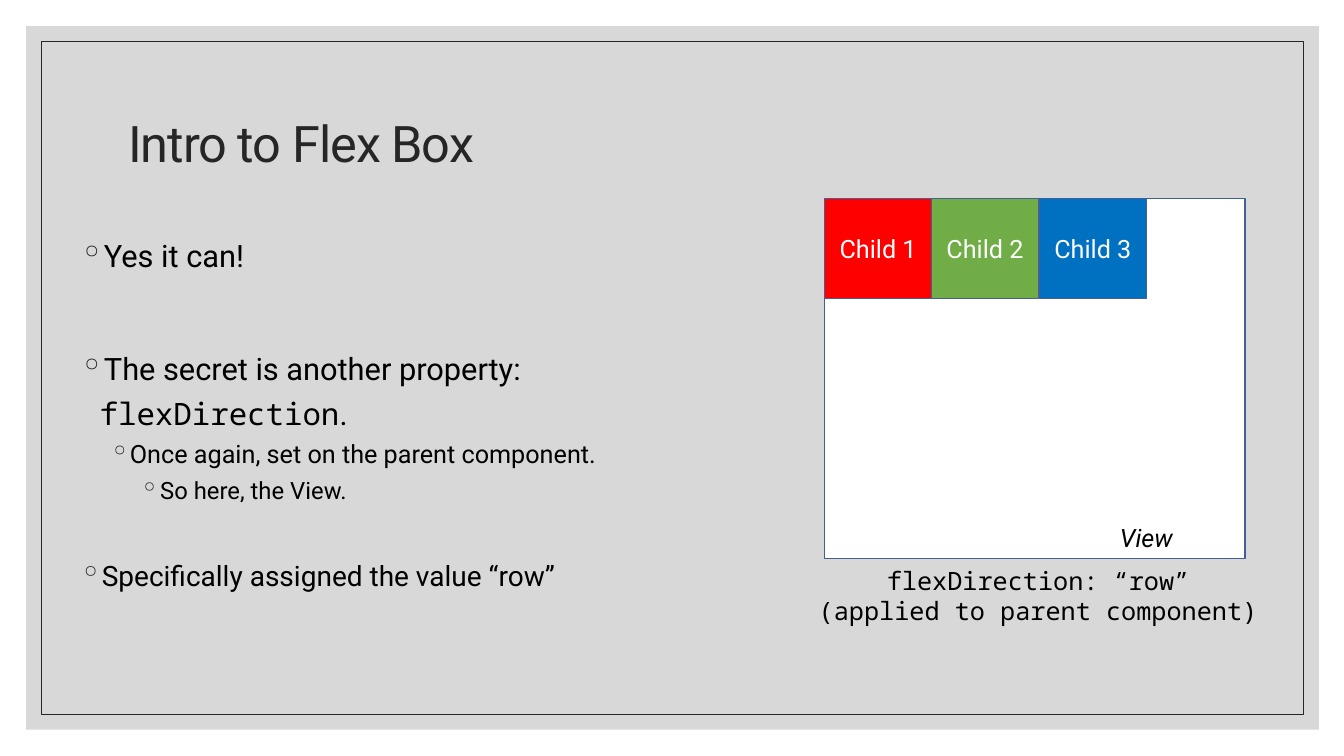
"""Build the flex box slide with a row layout diagram."""
from lxml import etree
from pptx import Presentation
from pptx.dml.color import RGBColor
from pptx.enum.shapes import MSO_SHAPE
from pptx.enum.text import MSO_ANCHOR, MSO_AUTO_SIZE, PP_ALIGN
from pptx.oxml.ns import qn
from pptx.util import Pt

EMU_PER_PX = 9144
RECTANGLE = MSO_SHAPE.RECTANGLE
LEFT, CENTER = PP_ALIGN.LEFT, PP_ALIGN.CENTER
MIDDLE, TOP = MSO_ANCHOR.MIDDLE, MSO_ANCHOR.TOP
NO_AUTOFIT = MSO_AUTO_SIZE.NONE
SANS, MONO = "Roboto", "Noto Sans Mono"

BLACK = RGBColor(0x00, 0x00, 0x00)
WHITE = RGBColor(0xFF, 0xFF, 0xFF)
CHARCOAL = RGBColor(0x26, 0x26, 0x26)
GRAY = RGBColor(0xBF, 0xBF, 0xBF)
OUTLINE = RGBColor(0x43, 0x60, 0x96)
RED = RGBColor(0xFF, 0x00, 0x00)
GREEN = RGBColor(0x70, 0xAD, 0x47)
BLUE = RGBColor(0x00, 0x70, 0xC0)

BULLET_INDENT = 20
LEVEL_MARGINS = (20, 50, 80)
POINTS = (
    (0, 22, 0, (("Yes it can!", SANS),)),
    (0, 22, 49, (("The secret is another property: ", SANS),
                 ("flexDirection", MONO), (".", SANS))),
    (1, 18, 5, (("Once again, set on the parent component.", SANS),)),
    (2, 17, 5, (("So here, the View.", SANS),)),
    (0, 20, 34, (("Specifically assigned the value “row”", SANS),)),
)
VIEW_BOX = (818, 197, 417, 357)
CHILDREN = (("Child 1", RED), ("Child 2", GREEN), ("Child 3", BLUE))


def px(*lengths):
    """Turn pixel lengths into EMU."""
    return [length * EMU_PER_PX for length in lengths]


def write(paragraph, text, size=18, font=SANS, color=BLACK, italic=False,
          align=LEFT, tracking=None):
    """Append a formatted run to a paragraph."""
    paragraph.alignment = align
    run = paragraph.add_run()
    run.text = text
    run.font.name = font
    run.font.size = Pt(size)
    run.font.color.rgb = color
    run.font.italic = italic
    if tracking is not None:
        run.font._element.set("spc", str(tracking))


def add_box(shapes, box, fill=None, line=None, weight=1, opacity=100):
    """Add a flat rectangle."""
    rectangle = shapes.add_shape(RECTANGLE, *px(*box))
    rectangle.shadow.inherit = False
    if fill is None:
        rectangle.fill.background()
    else:
        rectangle.fill.solid()
        rectangle.fill.fore_color.rgb = fill
    if opacity < 100:
        solid = rectangle.element.spPr.find(qn("a:solidFill"))
        etree.SubElement(solid[0], qn("a:alpha"), val=str(opacity * 1000))
    if line is None:
        rectangle.line.fill.background()
    else:
        rectangle.line.color.rgb = line
        rectangle.line.width = Pt(weight)
    return rectangle


def add_text_frame(shapes, box, wrap=True):
    """Add a text box and return its frame."""
    frame = shapes.add_textbox(*px(*box)).text_frame
    frame.word_wrap = wrap
    frame.vertical_anchor = TOP
    return frame


def next_paragraph(frame, index):
    """Return the first paragraph or a new one."""
    return frame.add_paragraph() if index else frame.paragraphs[0]


def add_bullet(paragraph, level):
    """Give a paragraph a ring bullet and a hanging indent."""
    properties = paragraph._p.get_or_add_pPr()
    margin, indent = px(LEVEL_MARGINS[level], -BULLET_INDENT)
    properties.set("marL", str(margin))
    properties.set("indent", str(indent))
    bullet_color = etree.SubElement(properties, qn("a:buClr"))
    etree.SubElement(bullet_color, qn("a:srgbClr"), val=str(CHARCOAL))
    etree.SubElement(properties, qn("a:buChar"), char="◦")
    paragraph.level = level


def add_title(slide):
    """Place the title above the backdrop and format it."""
    title = slide.shapes.title
    title.element.getparent().append(title.element)
    title.left, title.top, title.width, title.height = px(117, 70, 1100, 150)
    frame = title.text_frame
    frame.auto_size = NO_AUTOFIT
    frame.vertical_anchor = MIDDLE
    heading = frame.paragraphs[0]
    heading.line_spacing = 0.9
    write(heading, "Intro to Flex Box", size=36, color=CHARCOAL, tracking=-70)


def add_points(slide):
    """Add the bulleted explanation."""
    frame = add_text_frame(slide.shapes, (69, 223, 649, 494))
    for index, (level, size, space, pieces) in enumerate(POINTS):
        point = next_paragraph(frame, index)
        add_bullet(point, level)
        point.line_spacing = 1.0 if level else 1.2
        if space:
            point.space_before = Pt(space)
        for text, font in pieces:
            write(point, text, size=size, font=font)


def add_diagram(slide):
    """Add the view with its row of children and the caption."""
    diagram = slide.shapes.add_group_shape().shapes
    add_box(diagram, VIEW_BOX, WHITE, OUTLINE)
    left, top = VIEW_BOX[:2]
    for index, (label, color) in enumerate(CHILDREN):
        child_box = (left + index * 213 // 2, top, 106, 99)
        frame = add_box(diagram, child_box, color, OUTLINE).text_frame
        frame.vertical_anchor = MIDDLE
        write(frame.paragraphs[0], label, color=WHITE, align=CENTER)
    view_label = add_text_frame(diagram, (1101, 513, 77, 40), wrap=False)
    write(view_label.paragraphs[0], "View", italic=True)
    caption = add_text_frame(slide.shapes, (782, 556, 495, 71))
    lines = ("flexDirection: “row”", "(applied to parent component)")
    for index, text in enumerate(lines):
        write(next_paragraph(caption, index), text, font=MONO, align=CENTER)


def main():
    """Build and save the slide."""
    deck = Presentation()
    deck.slide_width, deck.slide_height = px(1333, 750)
    slide = deck.slides.add_slide(deck.slide_layouts[5])
    add_box(slide.shapes, (26, 26, 1282, 698), fill=GRAY, opacity=60)
    add_box(slide.shapes, (41, 41, 1252, 668), line=CHARCOAL, weight=0.5)
    add_title(slide)
    add_points(slide)
    add_diagram(slide)
    deck.save("out.pptx")


if __name__ == "__main__":
    main()
